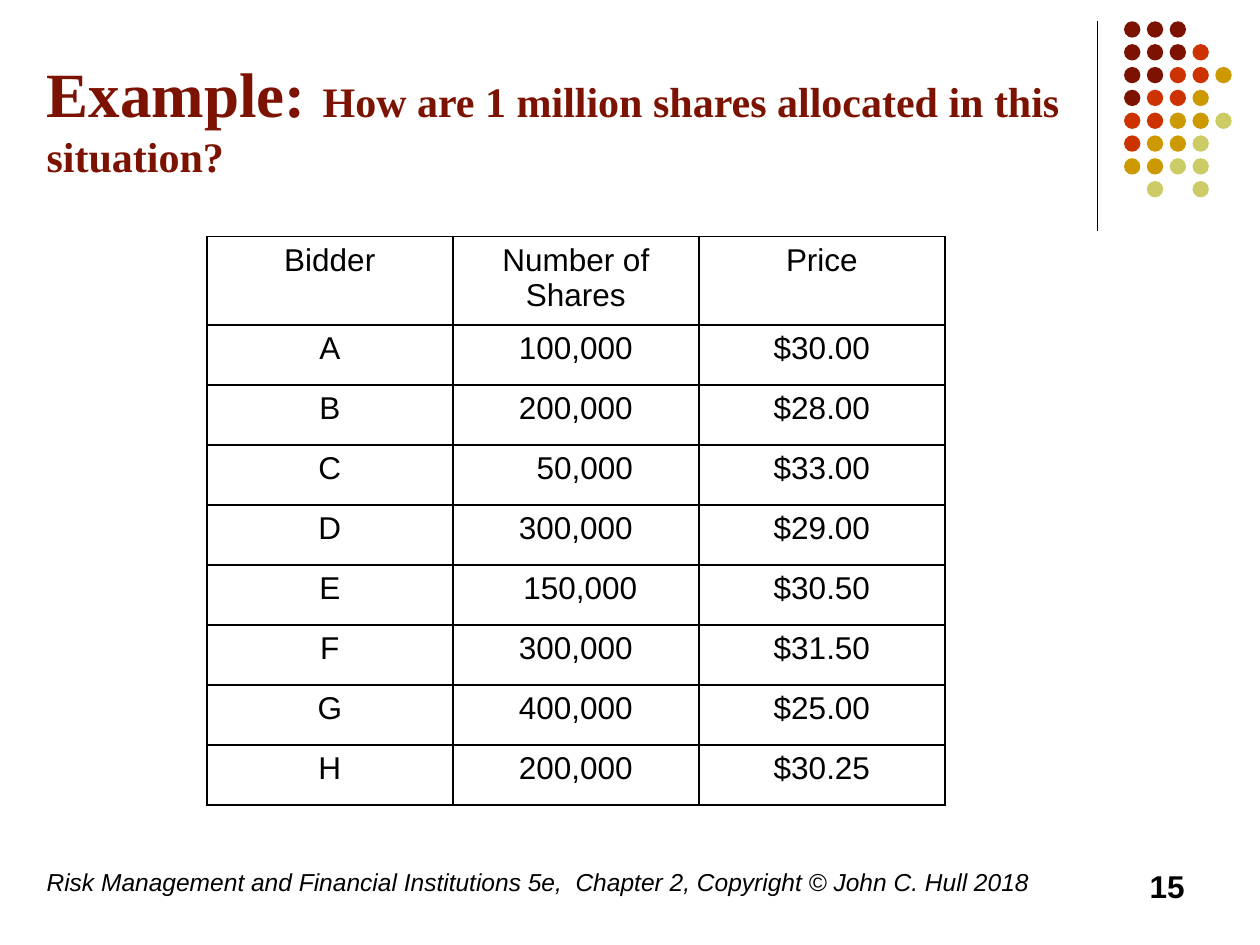
import pptx
import pptx.dml.color
import pptx.enum.shapes
import pptx.enum.text
import pptx.oxml
import pptx.oxml.ns
import pptx.util
from pptx.util import Cm

ALIGN = pptx.enum.text.PP_ALIGN
ANCHOR = pptx.enum.text.MSO_ANCHOR

BLACK = "000000"
MAROON = "7C1302"
DOT_COLOURS = {"M": MAROON, "R": "CC3300", "G": "CC9900", "L": "CCCC66"}
DOT_ROWS = ["MMM", "MMMR", "MMRRG", "MRRG", "RRGGL", "RGGL", "GGLL", " L L"]

BIDS = [
    ("Bidder", "Number of Shares", "Price"),
    ("A", "100,000", "$30.00"),
    ("B", "200,000", "$28.00"),
    ("C", "50,000", "$33.00"),
    ("D", "300,000", "$29.00"),
    ("E", "150,000", "$30.50"),
    ("F", "300,000", "$31.50"),
    ("G", "400,000", "$25.00"),
    ("H", "200,000", "$30.25"),
]
CELL_INDENTS = {"50,000": 0.36, "150,000": 0.18}


def colour(hex_string):
    return pptx.dml.color.RGBColor.from_string(hex_string)


def add_text(paragraph, text, *, size, font="Arial", fill=BLACK,
             bold=False, italic=False, align=ALIGN.LEFT):
    paragraph.alignment = align
    run = paragraph.add_run()
    run.text = text
    run.font.name = font
    run.font.size = pptx.util.Pt(size)
    run.font.bold = bold
    run.font.italic = italic
    run.font.color.rgb = colour(fill)


def add_borders(cell, hex_string, points):
    """Draw a solid line on all four sides of a table cell."""
    properties = cell._tc.get_or_add_tcPr()
    for side in ("lnL", "lnR", "lnT", "lnB"):
        properties.append(pptx.oxml.parse_xml(
            f'<a:{side} {pptx.oxml.ns.nsdecls("a")} w="{pptx.util.Pt(points)}">'
            f'<a:solidFill><a:srgbClr val="{hex_string}"/></a:solidFill></a:{side}>'))


class SlideBuilder:
    def __init__(self, slide, text_size=18):
        self.slide = slide
        self.text_size = text_size

    def line(self, x1, y1, x2, y2, points):
        connector = self.slide.shapes.add_connector(
            pptx.enum.shapes.MSO_CONNECTOR.STRAIGHT, Cm(x1), Cm(y1), Cm(x2), Cm(y2))
        connector.line.color.rgb = colour(BLACK)
        connector.line.width = pptx.util.Pt(points)
        connector._element.spPr.append(
            pptx.oxml.parse_xml(f'<a:effectLst {pptx.oxml.ns.nsdecls("a")}/>'))

    def dots(self, left, top, pitch, diameter):
        group = self.slide.shapes.add_group_shape()
        for row, keys in enumerate(DOT_ROWS):
            for column, key in enumerate(keys):
                if key == " ":
                    continue
                dot = group.shapes.add_shape(
                    pptx.enum.shapes.MSO_SHAPE.OVAL,
                    Cm(left + column * pitch), Cm(top + row * pitch),
                    Cm(diameter), Cm(diameter))
                dot.shadow.inherit = False
                dot.fill.solid()
                dot.fill.fore_color.rgb = colour(DOT_COLOURS[key])
                dot.line.fill.background()

    def text_box(self, left, top, width, height, anchor=ANCHOR.TOP):
        """Add an empty text box and return its first paragraph."""
        box = self.slide.shapes.add_textbox(Cm(left), Cm(top), Cm(width), Cm(height))
        box.text_frame.word_wrap = True
        box.text_frame.vertical_anchor = anchor
        return box.text_frame.paragraphs[0]

    def table(self, rows, left, top, column_width, header_height, row_height):
        column_count = len(rows[0])
        frame = self.slide.shapes.add_table(
            len(rows), column_count, Cm(left), Cm(top), Cm(column_width * column_count),
            Cm(header_height + row_height * (len(rows) - 1)))
        table = frame.table
        table.first_row = table.horz_banding = False
        for column in table.columns:
            column.width = Cm(column_width)
        for index, values in enumerate(rows):
            table.rows[index].height = Cm(row_height if index else header_height)
            for column, value in enumerate(values):
                cell = table.cell(index, column)
                add_borders(cell, BLACK, 1)
                cell.fill.background()
                cell.margin_left = Cm(0.25 + CELL_INDENTS.get(value, 0))
                add_text(cell.text_frame.paragraphs[0], value,
                         size=self.text_size, align=ALIGN.CENTER)


def main():
    presentation = pptx.Presentation()
    presentation.slide_width = Cm(25.4)
    presentation.slide_height = Cm(19.05)
    builder = SlideBuilder(presentation.slides.add_slide(presentation.slide_layouts[6]))

    builder.line(22.12, 0.43, 22.12, 4.65, points=0.75)
    builder.dots(22.66, 0.43, pitch=0.46, diameter=0.33)

    title = builder.text_box(0.69, 1.19, 21.59, 2.59, ANCHOR.BOTTOM)
    for text, size in [("Example:", 36), (" ", 39),
                       ("How are 1 million shares allocated in this situation?", 24)]:
        add_text(title, text, size=size, font="Times New Roman", fill=MAROON, bold=True)

    footer = builder.text_box(0.69, 17.35, 21, 1.27)
    add_text(footer, "Risk Management and Financial Institutions 5e,  Chapter 2, "
             "Copyright © John C. Hull 2018", size=14, italic=True)
    page_number = builder.text_box(18.21, 17.35, 5.92, 1.27)
    add_text(page_number, "15", size=18, bold=True, align=ALIGN.RIGHT)

    builder.table(BIDS, 4.17, 4.77, column_width=4.96, header_height=1.78, row_height=1.21)
    presentation.save("out.pptx")


if __name__ == "__main__":
    main()
